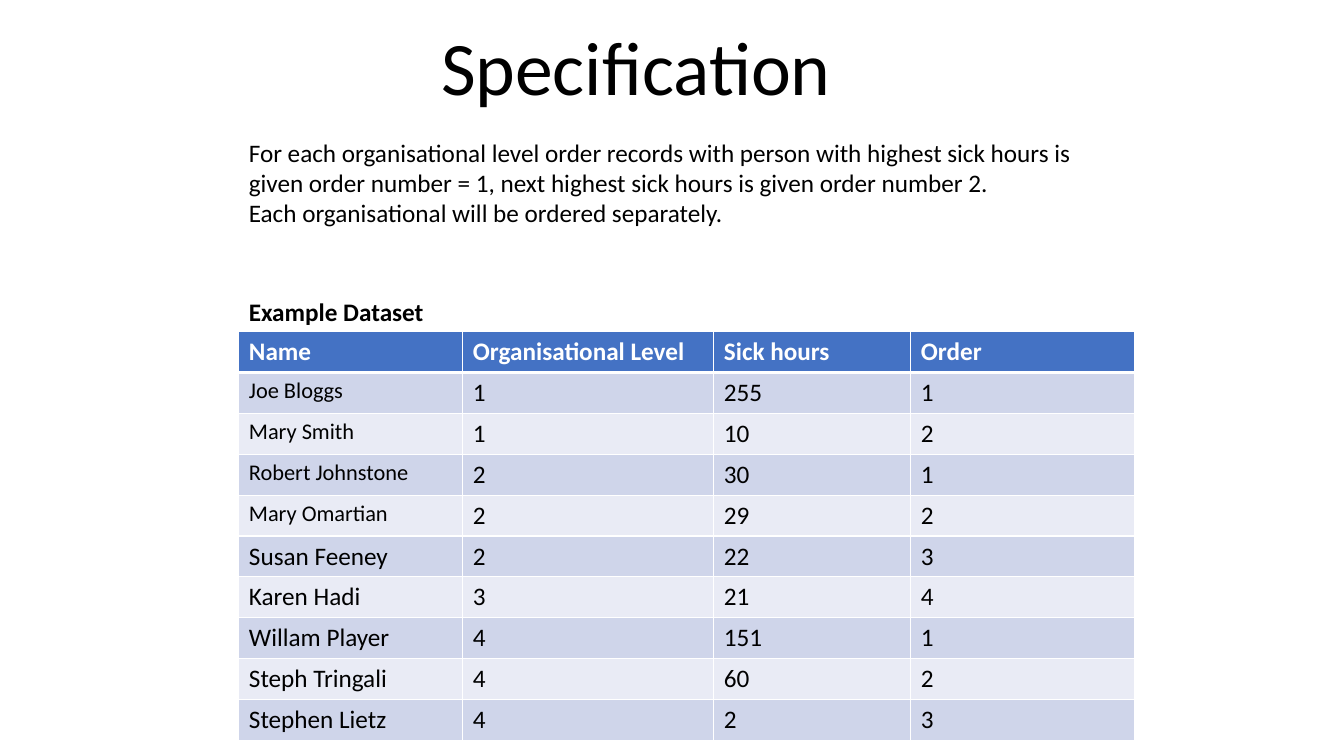
from dataclasses import dataclass

from lxml import etree
from pptx import Presentation
from pptx.dml.color import RGBColor
from pptx.enum import text
from pptx.oxml import ns
from pptx.util import Pt

BLACK = RGBColor(0x00, 0x00, 0x00)
WHITE = RGBColor(0xFF, 0xFF, 0xFF)
HEADER_BLUE = RGBColor(0x44, 0x72, 0xC4)
BAND_DARK = RGBColor(0xCF, 0xD5, 0xEA)
BAND_LIGHT = RGBColor(0xE9, 0xEB, 0xF5)

FONT = "Calibri"
LEFT = 170.64
TABLE_TOP = 236.9
ROW_HEIGHT = 29.2
COLUMN_WIDTHS = (160, 179.3, 140.7, 160)
SMALL_NAME_ROWS = range(1, 5)

HEADERS = ("Name", "Organisational Level", "Sick hours", "Order")
RECORDS = (
    ("Joe Bloggs", 1, 255, 1),
    ("Mary Smith", 1, 10, 2),
    ("Robert Johnstone", 2, 30, 1),
    ("Mary Omartian", 2, 29, 2),
    ("Susan Feeney", 2, 22, 3),
    ("Karen Hadi", 3, 21, 4),
    ("Willam Player", 4, 151, 1),
    ("Steph Tringali", 4, 60, 2),
    ("Stephen Lietz", 4, 2, 3),
)


@dataclass(frozen=True)
class TextStyle:
    size: float = 18
    color: RGBColor = BLACK
    bold: bool = False


@dataclass(frozen=True)
class TextBlock:
    left: float
    top: float
    width: float
    height: float
    lines: tuple[str, ...]
    style: TextStyle = TextStyle()
    wrap: bool = True


TITLE = TextBlock(306, 10.8, 296.6, 72.7, ("Specification",), TextStyle(54), wrap=False)
BLOCKS = (
    TextBlock(LEFT, 94.3, 640, 72.7, (
        "For each organisational level order records with person with highest sick hours is "
        "given order number = 1, next highest sick hours is given order number 2. ",
        "Each organisational will be ordered separately.",
    )),
    TextBlock(LEFT, 208.1, 141.8, 29, ("Example Dataset",), TextStyle(bold=True), wrap=False),
)


def add_run(paragraph, content: str, style: TextStyle) -> None:
    run = paragraph.add_run()
    run.text = content
    run.font.name = FONT
    run.font.size = Pt(style.size)
    run.font.bold = style.bold
    run.font.color.rgb = style.color


def fill_block(shape, block: TextBlock) -> None:
    shape.left, shape.top = Pt(block.left), Pt(block.top)
    shape.width, shape.height = Pt(block.width), Pt(block.height)
    frame = shape.text_frame
    frame.word_wrap = block.wrap
    frame.auto_size = text.MSO_AUTO_SIZE.SHAPE_TO_FIT_TEXT
    frame.vertical_anchor = text.MSO_ANCHOR.TOP
    paragraph = frame.paragraphs[0]
    for index, line in enumerate(block.lines):
        if index:
            paragraph.add_line_break()
        add_run(paragraph, line, block.style)


def set_borders(cell, bottom_width: float, top_width: float) -> None:
    properties = cell._tc.get_or_add_tcPr()
    widths = {"a:lnL": 1, "a:lnR": 1, "a:lnT": top_width, "a:lnB": bottom_width}
    for position, (tag, width) in enumerate(widths.items()):
        line = etree.Element(ns.qn(tag), w=str(Pt(width)))
        solid = etree.SubElement(line, ns.qn("a:solidFill"))
        etree.SubElement(solid, ns.qn("a:srgbClr"), val=str(WHITE))
        properties.insert(position, line)


def fill_cell(cell, content: str, style: TextStyle, fill: RGBColor, row: int) -> None:
    cell.fill.solid()
    cell.fill.fore_color.rgb = fill
    add_run(cell.text_frame.paragraphs[0], content, style)
    set_borders(cell, bottom_width=3 if row == 0 else 1, top_width=3 if row == 1 else 1)


def add_dataset(slide) -> None:
    rows = (HEADERS, *RECORDS)
    table = slide.shapes.add_table(
        len(rows), len(HEADERS), Pt(LEFT), Pt(TABLE_TOP),
        Pt(sum(COLUMN_WIDTHS)), Pt(ROW_HEIGHT * len(rows)),
    ).table
    for column, width in zip(table.columns, COLUMN_WIDTHS):
        column.width = Pt(width)
    for row, values in enumerate(rows):
        table.rows[row].height = Pt(ROW_HEIGHT)
        for column, value in enumerate(values):
            if row == 0:
                style, fill = TextStyle(color=WHITE, bold=True), HEADER_BLUE
            else:
                small = column == 0 and row in SMALL_NAME_ROWS
                style = TextStyle(16 if small else 18)
                fill = BAND_DARK if row % 2 else BAND_LIGHT
            fill_cell(table.cell(row, column), str(value), style, fill, row)


def main() -> None:
    presentation = Presentation()
    presentation.slide_width, presentation.slide_height = Pt(960), Pt(540)
    slide = presentation.slides.add_slide(presentation.slide_layouts[5])

    # Title
    title = slide.shapes.title
    fill_block(title, TITLE)
    title.text_frame.paragraphs[0].alignment = text.PP_ALIGN.CENTER

    # Rule and table caption
    for block in BLOCKS:
        fill_block(slide.shapes.add_textbox(0, 0, 0, 0), block)

    # Example records
    add_dataset(slide)

    presentation.save("out.pptx")


if __name__ == "__main__":
    main()
